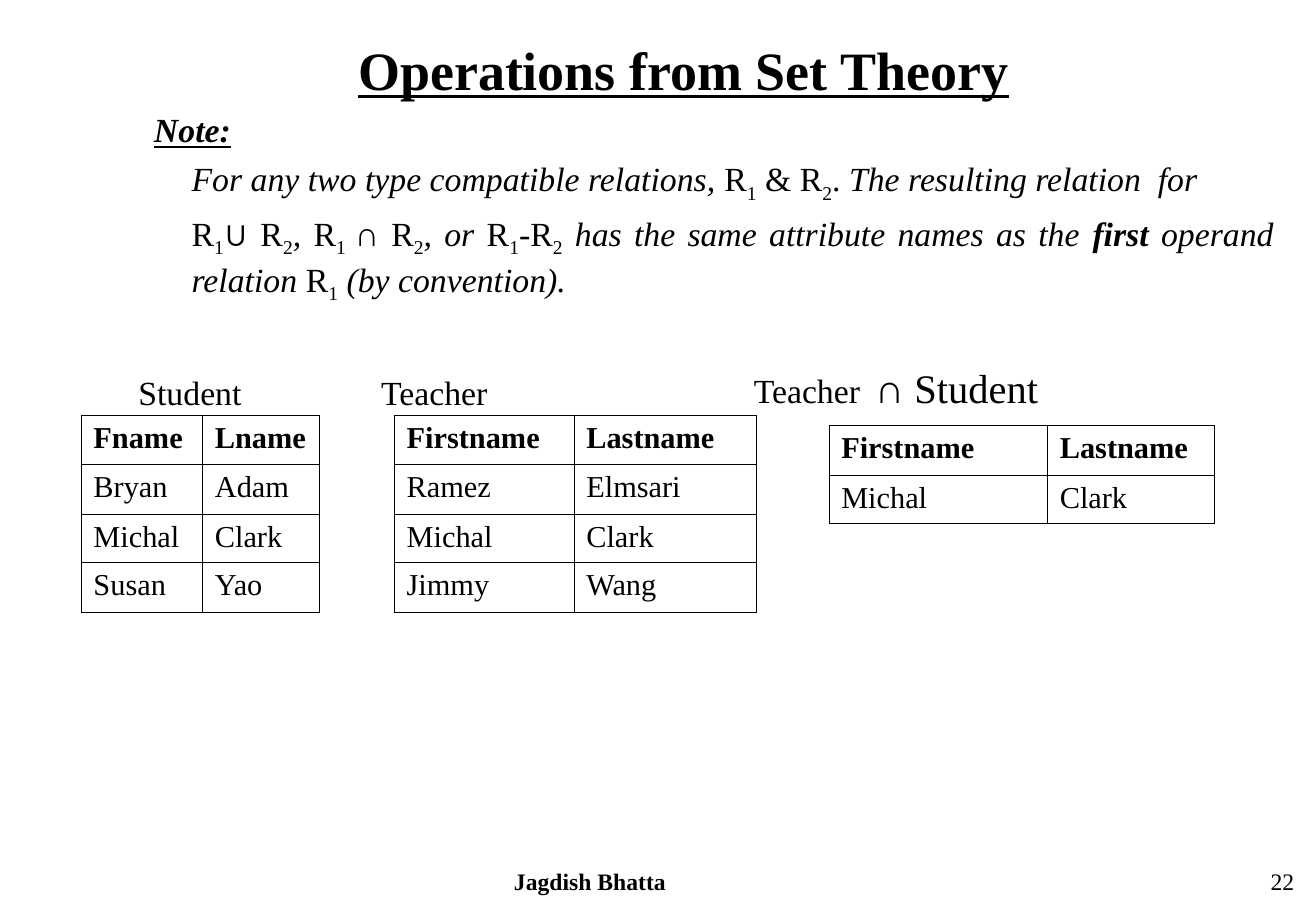
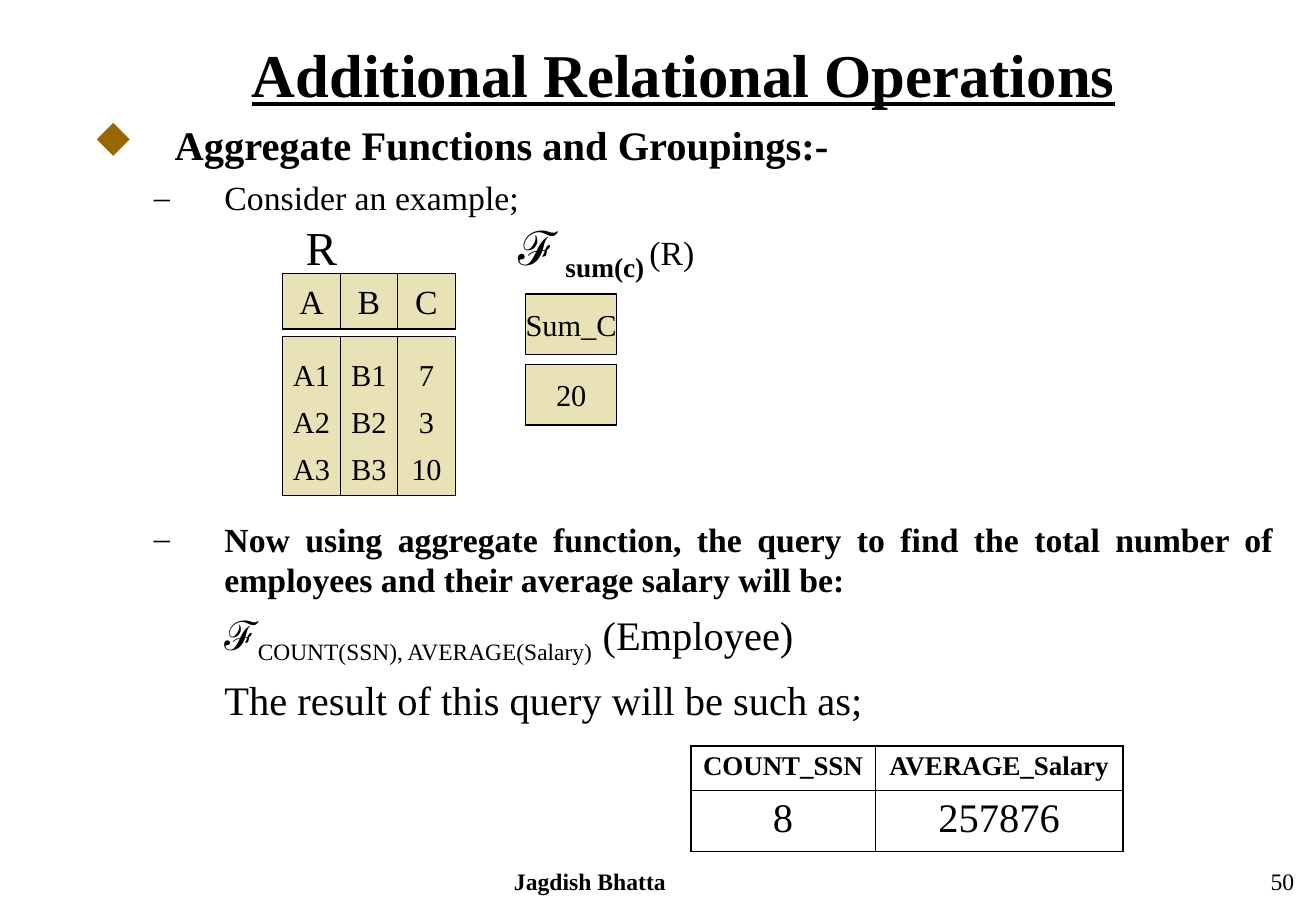
from dataclasses import dataclass

from lxml.etree import SubElement
from pptx import Presentation
from pptx.dml.color import RGBColor
from pptx.enum.shapes import MSO_SHAPE
from pptx.enum.text import MSO_ANCHOR, MSO_AUTO_SIZE, PP_ALIGN
from pptx.oxml.ns import qn
from pptx.util import Inches, Pt


@dataclass(frozen=True)
class Theme:
    """Colours, fonts, bullets and type sizes shared by the slides."""
    ink: RGBColor = RGBColor(0, 0, 0)
    relation_fill: RGBColor = RGBColor(0xE9, 0xE2, 0xB6)
    serif: str = "Times New Roman"
    symbol: str = "Arial"
    diamond: tuple = ("u", "Wingdings", "996600", 100)
    dash: tuple = ("–", "Times New Roman", "000000", 95)
    footer: int = 14
    header: int = 16
    cell: int = 18
    text: int = 20
    heading: int = 24
    label: int = 28
    title: int = 32
    large_title: int = 36
    thin: float = 0.45
    thick: float = 1.08
    outline: float = 0.75


THEME = Theme()
ITALIC = {"italic": True}
SUB = {"baseline": "-25000"}
SYMBOL = {"name": THEME.symbol}
BOLD = {"bold": True}
HEADING = {"size": THEME.heading}
LABEL = {"size": THEME.label}


@dataclass(frozen=True)
class Para:
    """One paragraph: its runs as (text, format) pairs and its layout."""
    runs: tuple
    size: int = THEME.text
    align: PP_ALIGN = PP_ALIGN.LEFT
    margin: float = 0
    indent: float = 0
    before: float = 0
    spacing: float = 1
    bullet: tuple = ()
    tab: float = 0


def set_all(target, values):
    """Set every attribute named in values on the target."""
    for name, value in values.items():
        setattr(target, name, value)


def add_run(paragraph, text, values, size):
    """Add a run in the serif face, changed by the given format values."""
    run = paragraph.add_run()
    run.text = text
    font_values = {"name": THEME.serif, "size": size, **values}
    baseline = font_values.pop("baseline", None)
    font_values["size"] = Pt(font_values["size"])
    set_all(run.font, font_values)
    run.font.color.rgb = THEME.ink
    if baseline:
        run.font._rPr.set("baseline", baseline)


def write(frame, paras):
    """Write paragraphs into a text frame."""
    for index, para in enumerate(paras):
        paragraph = frame.paragraphs[0] if index == 0 else frame.add_paragraph()
        properties = paragraph._p.get_or_add_pPr()
        properties.set("marL", str(Inches(para.margin)))
        properties.set("indent", str(Inches(para.indent)))
        if para.bullet:
            mark, face, color, percent = para.bullet
            SubElement(SubElement(properties, qn("a:buClr")), qn("a:srgbClr"), val=color)
            SubElement(properties, qn("a:buSzPct"), val=str(percent * 1000))
            bullet_font = SubElement(properties, qn("a:buFont"), typeface=face)
            if face == "Wingdings":
                bullet_font.set("charset", "2")
            SubElement(properties, qn("a:buChar"), char=mark)
        if para.tab:
            stops = SubElement(properties, qn("a:tabLst"))
            SubElement(stops, qn("a:tab"), pos=str(Inches(para.tab)), algn="l")
        set_all(paragraph, {
            "alignment": para.align,
            "line_spacing": para.spacing,
            "space_before": Pt(para.before if index else 0),
        })
        for text, values in para.runs:
            add_run(paragraph, text, values, para.size)


def add_text(slide, box, paras, **frame_values):
    """Place wrapped text in a box given in inches."""
    frame = slide.shapes.add_textbox(*map(Inches, box)).text_frame
    set_all(frame, {"word_wrap": True, **frame_values})
    write(frame, paras)


def add_base(deck, title, size, number):
    """Add a title-only slide with its title and footer."""
    slide = deck.slides.add_slide(deck.slide_layouts[5])
    heading = slide.shapes.title
    places = map(Inches, (0.67, 0.25, 9.92, 0.7))
    set_all(heading, dict(zip(("left", "top", "width", "height"), places)))
    set_all(heading.text_frame, {
        "vertical_anchor": MSO_ANCHOR.TOP,
        "auto_size": MSO_AUTO_SIZE.NONE,
        "word_wrap": True,
    })
    title_format = {"bold": True, "underline": True}
    write(heading.text_frame, [Para(((title, title_format),), size, PP_ALIGN.CENTER)])
    footers = (
        ((2.83, 7.09, 4.06, 0.33), "Jagdish Bhatta", BOLD, PP_ALIGN.CENTER),
        ((8.5, 7.09, 2.26, 0.33), number, {}, PP_ALIGN.RIGHT),
    )
    for box, text, values, align in footers:
        add_text(slide, box, [Para(((text, values),), THEME.footer, align)])
    return slide


def set_border(cell, side, width):
    """Draw one side of a cell's border."""
    properties = cell._tc.get_or_add_tcPr()
    line = SubElement(properties, qn("a:ln" + side), w=str(Pt(width)))
    fill = SubElement(line, qn("a:solidFill"))
    SubElement(fill, qn("a:srgbClr"), val=str(THEME.ink))


def add_grid(slide, left, top, widths, heights, rows, sizes=(THEME.cell, THEME.cell),
             align=PP_ALIGN.LEFT, outer=THEME.thin):
    """Add a ruled table with a bold header; sizes are for header and body."""
    box = (left, top, sum(widths), sum(heights))
    table = slide.shapes.add_table(len(rows), len(widths), *map(Inches, box)).table
    set_all(table, {"first_row": False, "horz_banding": False})
    for column, width in zip(table.columns, widths):
        column.width = Inches(width)
    for r, (texts, height) in enumerate(zip(rows, heights)):
        table.rows[r].height = Inches(height)
        for c, text in enumerate(texts):
            cell = table.cell(r, c)
            edges = {"L": c == 0, "R": c == len(widths) - 1,
                     "T": r == 0, "B": r == len(rows) - 1}
            for side, is_outer in edges.items():
                set_border(cell, side, outer if is_outer else THEME.thin)
            cell.fill.background()
            values = {"bold": r == 0}
            write(cell.text_frame, [Para(((text, values),), sizes[r > 0], align)])


def add_block(slide, box, lines, size, spacing=1):
    """Add a filled rectangle with centred lines."""
    block = slide.shapes.add_shape(MSO_SHAPE.RECTANGLE, *map(Inches, box))
    block.shadow.inherit = False
    block.fill.solid()
    block.fill.fore_color.rgb = THEME.relation_fill
    block.line.color.rgb = THEME.ink
    block.line.width = Pt(THEME.outline)
    set_all(block.text_frame, {"word_wrap": False, "vertical_anchor": MSO_ANCHOR.MIDDLE})
    write(block.text_frame, [Para(((line, {}),), size, PP_ALIGN.CENTER, spacing=spacing)
                             for line in lines])


def add_relation(slide, box, columns, header_height, gap, header_size, spacing):
    """Draw a relation as header blocks above value blocks, inside the box."""
    left, top, width, height = box
    column_width = width / len(columns)
    body_offset = header_height + gap
    for index, (name, values) in enumerate(columns.items()):
        x = left + index * column_width
        add_block(slide, (x, top, column_width, header_height), [name], header_size)
        body = (x, top + body_offset, column_width, height - body_offset)
        add_block(slide, body, values, THEME.cell, spacing)


def add_set_note(slide, box):
    """Write the note on attribute names of resulting relations."""
    r1, r2 = (("R", {}), ("1", SUB)), (("R", {}), ("2", SUB))
    body = {"align": PP_ALIGN.JUSTIFY, "margin": 0.81, "before": 5}
    note_format = {"bold": True, "italic": True, "underline": True}
    add_text(slide, box, [
        Para((("Note:", note_format),), margin=0.5),
        Para((("For any two type compatible relations, ", ITALIC), *r1, (" & ", {}), *r2,
              (". ", {}), ("The resulting relation  for", ITALIC)), **body),
        Para((*r1, ("∪", SYMBOL), (" ", {}), *r2, (", ", ITALIC),
              ("R", {}), ("1 ", SUB), ("∩", SYMBOL), (" ", {}), *r2, (", or ", ITALIC),
              *r1, ("-", {}), *r2, (" has the same attribute names as the ", ITALIC),
              ("first", {**ITALIC, **BOLD}), (" operand relation ", ITALIC),
              *r1, (" (by convention).", ITALIC)), **body),
    ])


def build_set_theory(deck):
    """Build the slide on set operations."""
    slide = add_base(deck, "Operations from Set Theory", THEME.title, "22")
    add_set_note(slide, (0.67, 0.85, 9.92, 1.8))
    captions = (
        (1.14, (("Student", {}),)),
        (3.14, (("Teacher", {}),)),
        (6.21, (("Teacher\t", {}), ("∩", {**HEADING, **SYMBOL}), (" Student", HEADING))),
    )
    for left, runs in captions:
        add_text(slide, (left, 2.89, 3, 0.5), [Para(runs, tab=1.07)], margin_left=0,
                 margin_bottom=0, vertical_anchor=MSO_ANCHOR.BOTTOM)
    heights = (0.4, 0.41, 0.4, 0.41)
    names = ("Firstname", "Lastname")
    shared = ("Michal", "Clark")
    add_grid(slide, 0.67, 3.42, (1, 0.96), heights,
             (("Fname", "Lname"), ("Bryan", "Adam"), shared, ("Susan", "Yao")))
    add_grid(slide, 3.25, 3.42, (1.48, 1.5), heights,
             (names, ("Ramez", "Elmsari"), shared, ("Jimmy", "Wang")))
    add_grid(slide, 6.83, 3.5, (1.8, 1.37), (0.41, 0.4), (names, shared))


def add_example(slide, left, top):
    """Draw relation R beside the sum of its column C."""
    add_text(slide, (left + 0.09, top, 0.5, 0.42), [Para((("R", LABEL),))])
    add_text(slide, (left + 1.84, top, 1.77, 0.61), [Para((
        ("ℱ", LABEL), (" ", BOLD), ("sum(c)", {**LABEL, **BOLD, **SUB}),
        (" ", {**BOLD, **SUB}), ("(R)", {})))])
    columns = {"A": ("A1", "A2", "A3"), "B": ("B1", "B2", "B3"), "C": ("7", "3", "10")}
    add_relation(slide, (left, top + 0.5, 1.42, 1.83), columns, 0.46, 0.06, THEME.text, 1.3)
    add_relation(slide, (left + 2, top + 0.67, 0.75, 1.08), {"Sum_C": ("20",)},
                 0.5, 0.08, THEME.cell, 1)


def build_aggregates(deck):
    """Build the slide on aggregate functions."""
    slide = add_base(deck, "Additional Relational Operations", THEME.large_title, "50")
    justified = {"align": PP_ALIGN.JUSTIFY, "margin": 1.08}
    dashed = {**justified, "indent": -0.58, "bullet": THEME.dash}
    result = {**justified, "size": THEME.heading, "before": 6}
    add_text(slide, (0.67, 0.94, 9.92, 0.9), [
        Para((("Aggregate Functions and Groupings:-", BOLD),), THEME.heading,
             PP_ALIGN.JUSTIFY, 0.67, -0.67, bullet=THEME.diamond),
        Para((("Consider an example;", {}),), before=5, **dashed),
    ])
    add_example(slide, 2.33, 1.75)
    query = ("Now using aggregate function, the query to find the total number of "
             "employees and their average salary will be:")
    add_text(slide, (0.67, 4.22, 9.92, 1.85), [
        Para(((query, BOLD),), **dashed),
        Para((("ℱ", {}), ("COUNT(SSN), AVERAGE(Salary)", SUB), (" (Employee)", {})), **result),
        Para((("The result of this query will be such as;", {}),), **result),
    ])
    add_grid(slide, 5.69, 6.14, (1.52, 2.04), (0.37, 0.5),
             (("COUNT_SSN", "AVERAGE_Salary"), ("8", "257876")),
             (THEME.header, THEME.heading), PP_ALIGN.CENTER, THEME.thick)


def main():
    """Build and save the presentation."""
    deck = Presentation()
    set_all(deck, {"slide_width": Inches(10.84), "slide_height": Inches(7.5)})
    build_set_theory(deck)
    build_aggregates(deck)
    deck.save("out.pptx")


if __name__ == "__main__":
    main()
